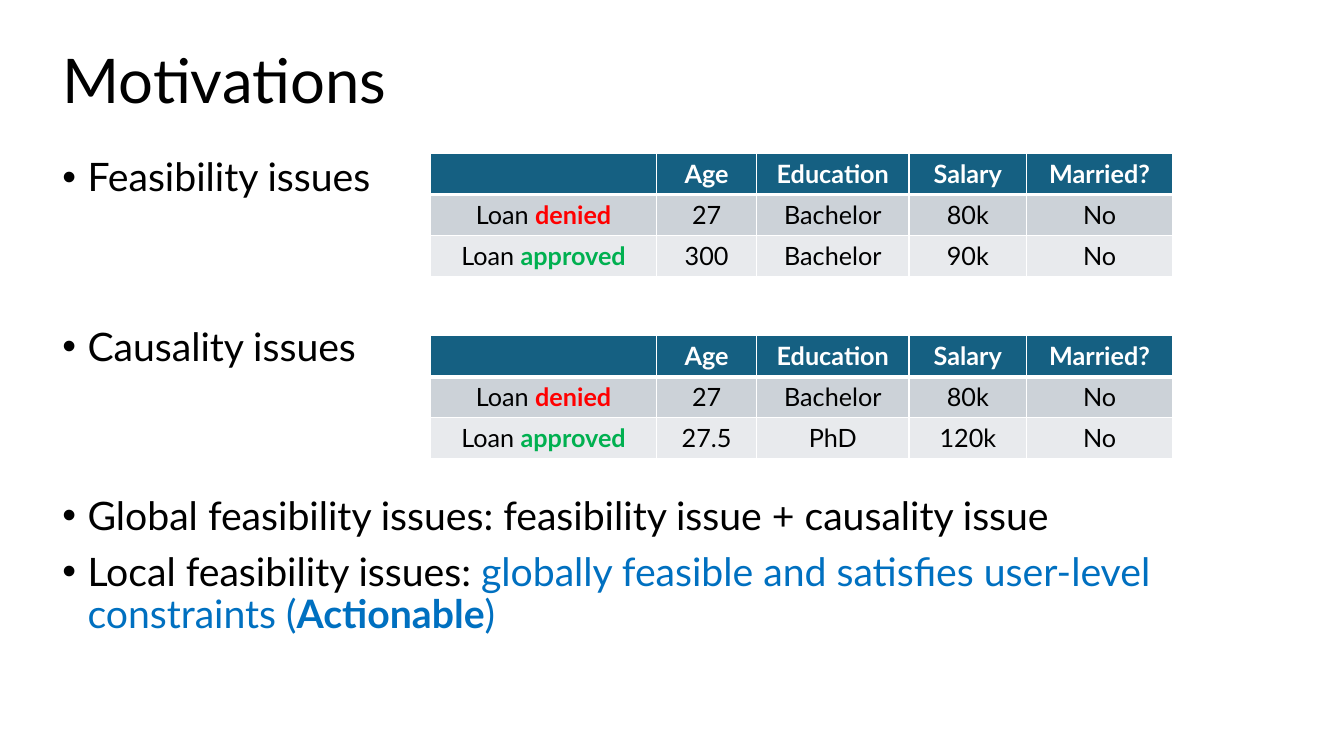
import pptx
import pptx.dml.color
import pptx.enum.text
import pptx.oxml
import pptx.oxml.ns
import pptx.util

Pt = pptx.util.Pt
ALIGN = pptx.enum.text.PP_ALIGN
ANCHOR = pptx.enum.text.MSO_ANCHOR

COLOURS = {
    "text": "000000",
    "white": "FFFFFF",
    "header": "156082",
    "denied_row": "CCD2D8",
    "approved_row": "E8EAED",
    "denied": "FF0000",
    "approved": "00B050",
    "accent": "0070C0",
}
FONT = "Lato"
LEFT, WIDTH = 37.44, 885.6
COLUMN_WIDTHS = [161.5, 71.5, 108.8, 84.1, 104.2]
ROW_HEIGHT = 29.3
BULLET_GAP, SECTION_GAP = 10, 90.5
HEADINGS = ["", "Age", "Education", "Salary", "Married?"]
DENIED_CASE = ["27", "Bachelor", "80k", "No"]


def colour(name):
    return pptx.dml.color.RGBColor.from_string(COLOURS[name])


def apply_format(target, values):
    for name, value in values.items():
        setattr(target, name, value)


def add_span(para, text, size, tint="text", bold=False):
    span = para.add_run()
    span.text = text
    apply_format(span.font, {"name": FONT, "size": Pt(size), "bold": bold})
    span.font.color.rgb = colour(tint)


def add_box(page, top, height, anchor):
    box = page.shapes.add_textbox(Pt(LEFT), Pt(top), Pt(WIDTH), Pt(height))
    apply_format(box.text_frame, {"word_wrap": True, "vertical_anchor": anchor})
    return box.text_frame


def add_title(page, text):
    para = add_box(page, 28.8, 61.9, ANCHOR.MIDDLE).paragraphs[0]
    para.line_spacing = 0.9
    add_span(para, text, 44)


def set_bullet(para):
    properties = para._p.get_or_add_pPr()
    properties.set("marL", str(Pt(18)))
    properties.set("indent", str(Pt(-18)))
    namespace = pptx.oxml.ns.nsdecls("a")
    for element in ('buFont %s typeface="Arial"', 'buChar %s char="•"'):
        properties.append(pptx.oxml.parse_xml(f"<a:{element % namespace}/>"))


def add_bullets(page, bullets):
    frame = add_box(page, 109.4, 401.8, ANCHOR.TOP)
    for index, (gap, spans) in enumerate(bullets):
        para = frame.add_paragraph() if index else frame.paragraphs[0]
        set_bullet(para)
        apply_format(para, {"line_spacing": 0.9, "space_before": Pt(gap)})
        for text, *style in spans:
            add_span(para, text, 28, *style)


def set_borders(cell, widths):
    properties = cell._tc.get_or_add_tcPr()
    for side, width in widths.items():
        properties.append(pptx.oxml.parse_xml(
            f'<a:ln{side} {pptx.oxml.ns.nsdecls("a")} w="{Pt(width)}"><a:solidFill>'
            f'<a:srgbClr val="{COLOURS["white"]}"/></a:solidFill></a:ln{side}>'))


def fill_cell(cell, spans, fill, borders):
    set_borders(cell, borders)
    cell.fill.solid()
    cell.fill.fore_color.rgb = colour(fill)
    para = cell.text_frame.paragraphs[0]
    para.alignment = ALIGN.CENTER
    for text, *style in spans:
        if text:
            add_span(para, text, 18, *style)


def add_loan_table(page, top, approved_case):
    table = page.shapes.add_table(
        3, len(HEADINGS), Pt(307.5), Pt(top),
        Pt(sum(COLUMN_WIDTHS)), Pt(3 * ROW_HEIGHT)).table
    for column, width in zip(table.columns, COLUMN_WIDTHS):
        column.width = Pt(width)
    for row in table.rows:
        row.height = Pt(ROW_HEIGHT)

    # Heading row, with a thicker rule below it
    for index, heading in enumerate(HEADINGS):
        fill_cell(table.cell(0, index), [(heading, "white", True)],
                  "header", {"L": 1, "R": 1, "T": 1, "B": 3})

    # One row for each loan outcome
    outcomes = {"denied": DENIED_CASE, "approved": approved_case}
    for row, (outcome, values) in enumerate(outcomes.items(), 1):
        label = [("Loan ",), (outcome, outcome, True)]
        borders = {"L": 1, "R": 1, "T": 3 if row == 1 else 1, "B": 1}
        for index, spans in enumerate([label] + [[(value,)] for value in values]):
            fill_cell(table.cell(row, index), spans, f"{outcome}_row", borders)


def main():
    deck = pptx.Presentation()
    apply_format(deck, {"slide_width": Pt(960), "slide_height": Pt(540)})
    page = deck.slides.add_slide(deck.slide_layouts[6])

    # Title and bullets
    add_title(page, "Motivations")
    add_bullets(page, [
        (0, [("Feasibility issues",)]),
        (SECTION_GAP, [("Causality issues",)]),
        (SECTION_GAP, [("Global feasibility issues: feasibility issue + causality issue",)]),
        (BULLET_GAP, [
            ("Local feasibility issues: ",),
            ("globally feasible and satisfies user-level constraints (", "accent"),
            ("Actionable", "accent", True),
            (")", "accent"),
        ]),
    ])

    # Example tables
    add_loan_table(page, 109.6, ["300", "Bachelor", "90k", "No"])
    add_loan_table(page, 239.9, ["27.5", "PhD", "120k", "No"])

    deck.save("out.pptx")


if __name__ == "__main__":
    main()
